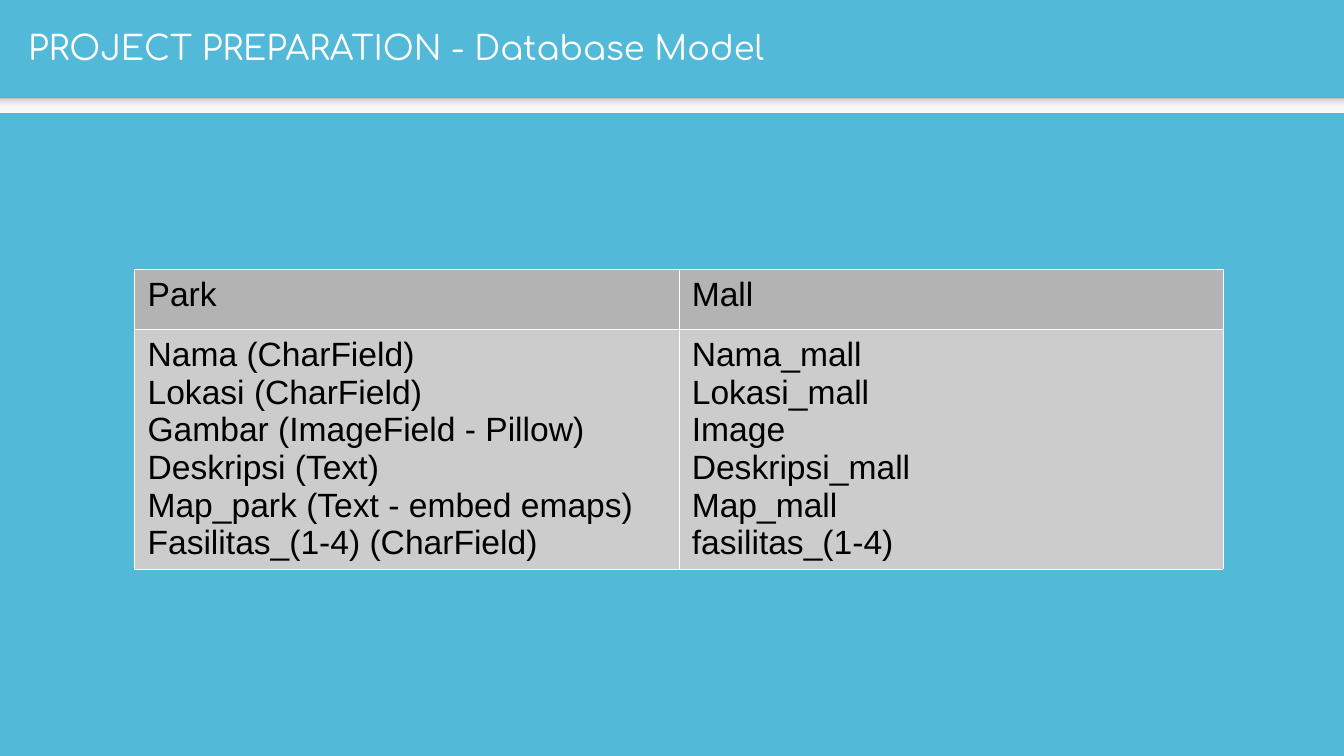
from lxml.etree import SubElement as Sub
from pptx import Presentation
from pptx.dml.color import RGBColor as Rgb
from pptx.enum.shapes import MSO_SHAPE as Kind
from pptx.enum.text import MSO_ANCHOR as Anchor, MSO_AUTO_SIZE as Fit, PP_ALIGN as Align
from pptx.oxml.ns import qn
from pptx.util import Cm, Pt

COLORS = {
    "back": "53B9D9",
    "white": "FFFFFF",
    "black": "000000",
    "head": "B3B3B3",
    "body": "CCCCCC",
}
SHADE = [(0, "F9F9F9"), (36, "F9F9F9"), (80, "DEDEDE"), (100, "999999")]
MODELS = {
    "Park": [
        "Nama (CharField)",
        "Lokasi (CharField)",
        "Gambar (ImageField - Pillow)",
        "Deskripsi (Text)",
        "Map_park (Text - embed emaps)",
        "Fasilitas_(1-4) (CharField)",
    ],
    "Mall": [
        "Nama_mall",
        "Lokasi_mall",
        "Image",
        "Deskripsi_mall",
        "Map_mall",
        "fasilitas_(1-4)",
    ],
}


def paint(fill, name):
    fill.solid()
    fill.fore_color.rgb = Rgb.from_string(COLORS[name])


def style(frame, face, color):
    for para in frame.paragraphs:
        para.alignment = Align.LEFT
        para.font.name = face
        para.font.size = Pt(18)
        para.font.bold = False
        para.font.color.rgb = Rgb.from_string(COLORS[color])


def add_band(slide):
    band = slide.shapes.add_shape(Kind.RECTANGLE, 0, Cm(1.83), Cm(25.4), Cm(0.3))
    band.shadow.inherit = False
    band.line.fill.background()
    band.fill.gradient()
    band.fill.gradient_angle = 90
    # Replace the two default stops
    stops = band.fill._fill._gradFill.find(qn("a:gsLst"))
    for stop in list(stops):
        stops.remove(stop)
    for place, color in SHADE:
        stop = Sub(stops, qn("a:gs"), pos=str(place * 1000))
        Sub(stop, qn("a:srgbClr"), val=color)


def set_title(slide, text):
    title = slide.shapes.title
    title.left, title.top = Cm(0.28), Cm(0.05)
    title.width, title.height = Cm(24.5), Cm(1.68)
    frame = title.text_frame
    frame.text = text
    frame.word_wrap = True
    frame.auto_size = Fit.NONE
    frame.vertical_anchor = Anchor.MIDDLE
    frame.margin_left = frame.margin_right = Cm(0.25)
    frame.margin_top = frame.margin_bottom = Cm(0.25)
    style(frame, "Comfortaa", "white")


def add_edges(cell):
    props = cell._tc.get_or_add_tcPr()
    for spot, side in enumerate(("lnL", "lnR", "lnT", "lnB")):
        # Borders must come before the cell fill
        line = props.makeelement(qn(f"a:{side}"), {"w": "762"})
        props.insert(spot, line)
        fill = Sub(line, qn("a:solidFill"))
        Sub(fill, qn("a:srgbClr"), val=COLORS["white"])


def fill_cell(cell, text, color):
    cell.text = text
    cell.margin_left = cell.margin_right = Cm(0.25)
    cell.margin_top = cell.margin_bottom = Cm(0.13)
    style(cell.text_frame, "Arial", "black")
    paint(cell.fill, color)
    add_edges(cell)


def add_models(slide):
    frame = slide.shapes.add_table(
        2, len(MODELS), Cm(2.54), Cm(5.08), Cm(20.57), Cm(4.98)
    )
    table = frame.table
    table.rows[0].height, table.rows[1].height = Cm(1.14), Cm(3.84)
    for col, (name, fields) in enumerate(MODELS.items()):
        fill_cell(table.cell(0, col), name, "head")
        fill_cell(table.cell(1, col), "\n".join(fields), "body")


def main():
    deck = Presentation()
    deck.slide_width, deck.slide_height = Cm(25.4), Cm(14.28)
    slide = deck.slides.add_slide(deck.slide_layouts[5])
    paint(slide.background.fill, "back")
    # Header
    add_band(slide)
    set_title(slide, "PROJECT PREPARATION - Database Model")
    # Database models
    add_models(slide)
    deck.save("out.pptx")


if __name__ == "__main__":
    main()
